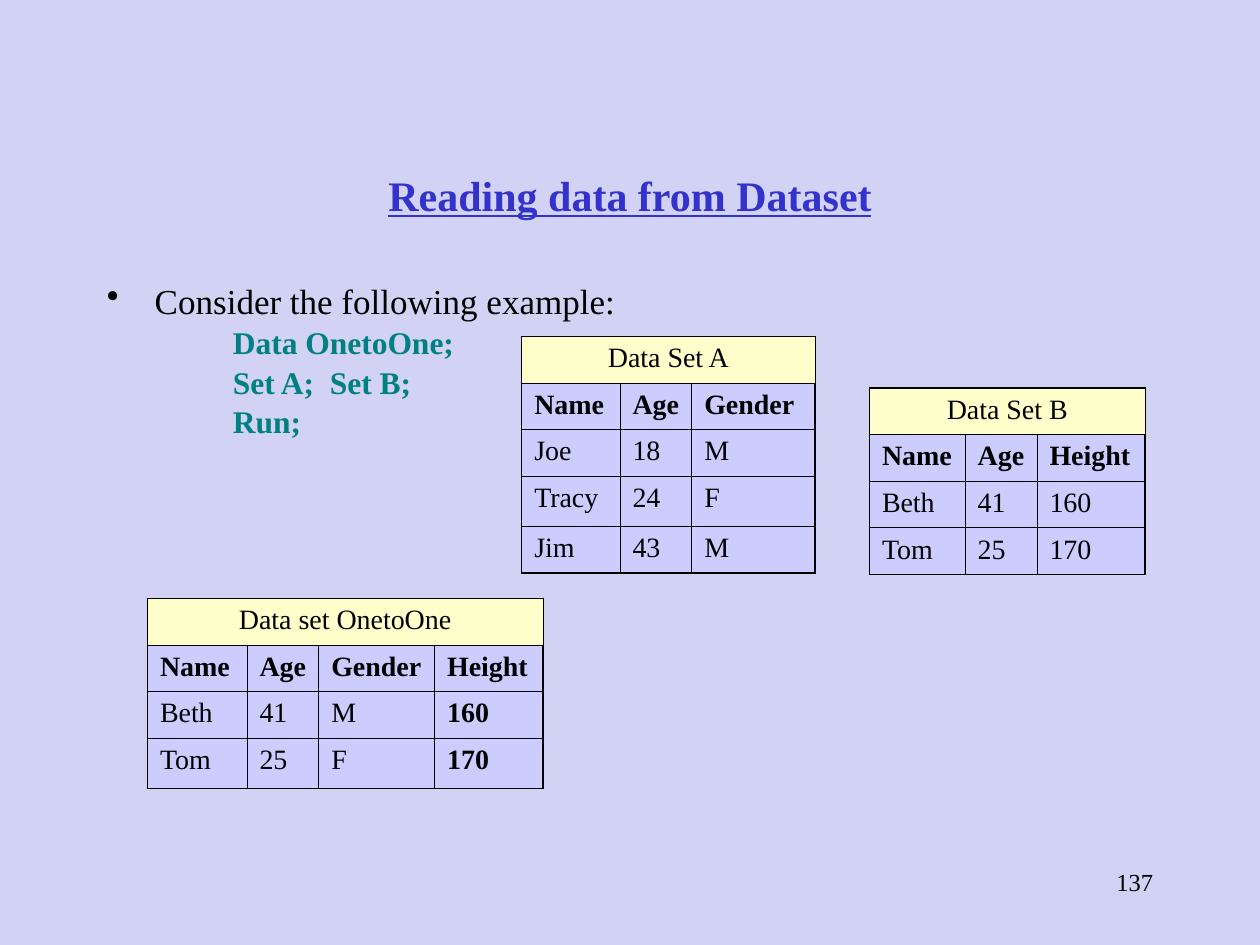
from dataclasses import dataclass

from lxml.etree import SubElement
from pptx import Presentation
from pptx.dml.color import RGBColor
from pptx.enum.text import MSO_ANCHOR, MSO_AUTO_SIZE, PP_ALIGN
from pptx.oxml.ns import qn
from pptx.util import Inches, Pt


@dataclass(frozen=True)
class Theme:
    """Colours, type sizes and line widths of the slide."""

    font: str = "Times New Roman"
    background: str = "D2D2F4"
    title: str = "3333CC"
    ink: str = "000000"
    code: str = "008080"
    caption_fill: str = "FFFFCC"
    cell_fill: str = "CCCCFF"
    title_size: float = 24
    body_size: float = 20
    code_size: float = 18
    table_size: float = 16
    number_size: float = 14
    outer_line: float = 1.08
    inner_line: float = 0.45


@dataclass(frozen=True)
class DataSet:
    """A captioned data set with its column widths and row heights in inches."""

    caption: str
    rows: tuple
    widths: tuple
    heights: tuple
    bold_columns: tuple = ()


THEME = Theme()

DATA_SET_A = DataSet(
    "Data Set A",
    (("Name", "Age", "Gender"), ("Joe", "18", "M"), ("Tracy", "24", "F"), ("Jim", "43", "M")),
    (0.78, 0.57, 0.98),
    (0.37, 0.37, 0.37, 0.4, 0.37),
)
DATA_SET_B = DataSet(
    "Data Set B",
    (("Name", "Age", "Height"), ("Beth", "41", "160"), ("Tom", "25", "170")),
    (0.76, 0.57, 0.86),
    (0.37,) * 4,
)
DATA_SET_ONE_TO_ONE = DataSet(
    "Data set OnetoOne",
    (("Name", "Age", "Gender", "Height"), ("Beth", "41", "M", "160"), ("Tom", "25", "F", "170")),
    (0.79, 0.57, 0.92, 0.86),
    (0.37, 0.37, 0.37, 0.4),
    bold_columns=(3,),
)


def inches_box(*lengths):
    """Return left, top, width and height as lengths."""
    return tuple(Inches(length) for length in lengths)


def add_run(paragraph, text, size, color=THEME.ink, bold=False, underline=False):
    """Add one formatted run to a paragraph."""
    run = paragraph.add_run()
    run.text = text
    run.font.name = THEME.font
    run.font.size = Pt(size)
    run.font.bold = bold
    run.font.underline = underline
    run.font.color.rgb = RGBColor.from_string(color)


def set_indent(paragraph, margin, hanging, bullet=None):
    """Give a paragraph a hanging indent and an optional bullet."""
    properties = paragraph._p.get_or_add_pPr()
    properties.set("marL", str(Inches(margin)))
    properties.set("indent", str(-Inches(hanging)))
    if bullet:
        SubElement(properties, qn("a:buChar"), char=bullet)
    else:
        SubElement(properties, qn("a:buNone"))


def add_title(slide, box, text):
    """Place and format the title placeholder."""
    title = slide.shapes.title
    title.left, title.top, title.width, title.height = box
    frame = title.text_frame
    frame.auto_size = MSO_AUTO_SIZE.NONE
    frame.vertical_anchor = MSO_ANCHOR.MIDDLE
    paragraph = frame.paragraphs[0]
    paragraph.alignment = PP_ALIGN.CENTER
    add_run(paragraph, text, THEME.title_size, THEME.title, bold=True, underline=True)


def add_example(slide, box, lead, code_lines):
    """Add the bulleted lead sentence and the code lines below it."""
    frame = slide.shapes.add_textbox(*box).text_frame
    frame.word_wrap = True
    paragraph = frame.paragraphs[0]
    set_indent(paragraph, 0.38, 0.38, "•")
    add_run(paragraph, lead, THEME.body_size)
    for line in code_lines:
        paragraph = frame.add_paragraph()
        paragraph.level = 2
        set_indent(paragraph, 1.25, 0.25)
        paragraph.space_before = Pt(1)
        add_run(paragraph, line, THEME.code_size, THEME.code, bold=True)


def style_cell(cell, fill, outer_sides):
    """Draw the four borders of a cell, then fill it."""
    properties = cell._tc.get_or_add_tcPr()
    for side in "LRTB":
        width = THEME.outer_line if side in outer_sides else THEME.inner_line
        line = SubElement(properties, qn(f"a:ln{side}"), w=str(Pt(width)))
        SubElement(SubElement(line, qn("a:solidFill")), qn("a:srgbClr"), val=THEME.ink)
    cell.fill.solid()
    cell.fill.fore_color.rgb = RGBColor.from_string(fill)


def add_data_set(slide, left, top, data_set):
    """Add a data set as a table under a merged caption row."""
    widths, heights = data_set.widths, data_set.heights
    box = inches_box(left, top, sum(widths), sum(heights))
    table = slide.shapes.add_table(len(heights), len(widths), *box).table
    table.first_row = False
    table.horz_banding = False
    for column, width in zip(table.columns, widths):
        column.width = Inches(width)
    for row, height in zip(table.rows, heights):
        row.height = Inches(height)

    last_row, last_column = len(heights) - 1, len(widths) - 1
    for row_index in range(len(heights)):
        for column_index in range(len(widths)):
            edges = {
                "L": column_index == 0,
                "R": column_index == last_column,
                "T": row_index == 0,
                "B": row_index == last_row,
            }
            outer_sides = [side for side, is_outer in edges.items() if is_outer]
            fill = THEME.cell_fill if row_index else THEME.caption_fill
            style_cell(table.cell(row_index, column_index), fill, outer_sides)

    caption = table.cell(0, 0)
    caption.merge(table.cell(0, last_column))
    paragraph = caption.text_frame.paragraphs[0]
    paragraph.alignment = PP_ALIGN.CENTER
    add_run(paragraph, data_set.caption, THEME.table_size)
    for row_index, values in enumerate(data_set.rows, start=1):
        for column_index, value in enumerate(values):
            paragraph = table.cell(row_index, column_index).text_frame.paragraphs[0]
            bold = row_index == 1 or column_index in data_set.bold_columns
            add_run(paragraph, value, THEME.table_size, bold=bold)


def add_slide_number(slide, box, number):
    """Add the right-aligned slide number."""
    frame = slide.shapes.add_textbox(*box).text_frame
    frame.word_wrap = True
    paragraph = frame.paragraphs[0]
    paragraph.alignment = PP_ALIGN.RIGHT
    add_run(paragraph, number, THEME.number_size)


def main():
    """Build the slide and save it."""
    presentation = Presentation()
    presentation.slide_width, presentation.slide_height = Inches(10), Inches(7.5)
    slide = presentation.slides.add_slide(presentation.slide_layouts.get_by_name("Title Only"))
    slide.background.fill.solid()
    slide.background.fill.fore_color.rgb = RGBColor.from_string(THEME.background)

    add_slide_number(slide, inches_box(7.17, 6.83, 2.08, 0.5), "137")
    add_title(slide, inches_box(0.75, 1.17, 8.5, 0.75), "Reading data from Dataset")
    add_example(
        slide,
        inches_box(0.75, 2.17, 8.5, 4.5),
        "Consider the following example:",
        ("Data OnetoOne;", "Set A;  Set B;", "Run;"),
    )
    add_data_set(slide, 4.14, 2.67, DATA_SET_A)
    add_data_set(slide, 6.9, 3.08, DATA_SET_B)
    add_data_set(slide, 1.17, 4.75, DATA_SET_ONE_TO_ONE)
    presentation.save("out.pptx")


if __name__ == "__main__":
    main()
